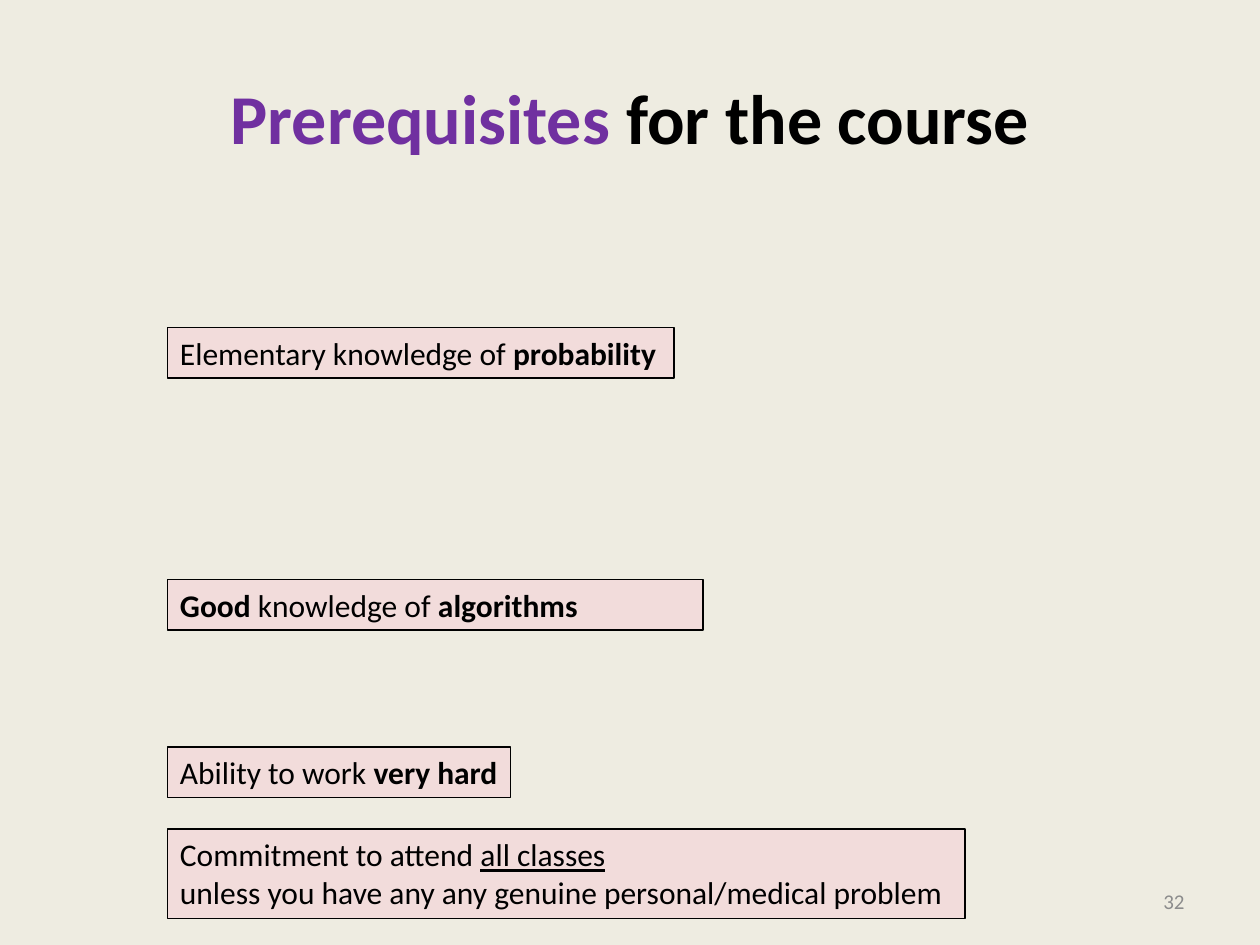
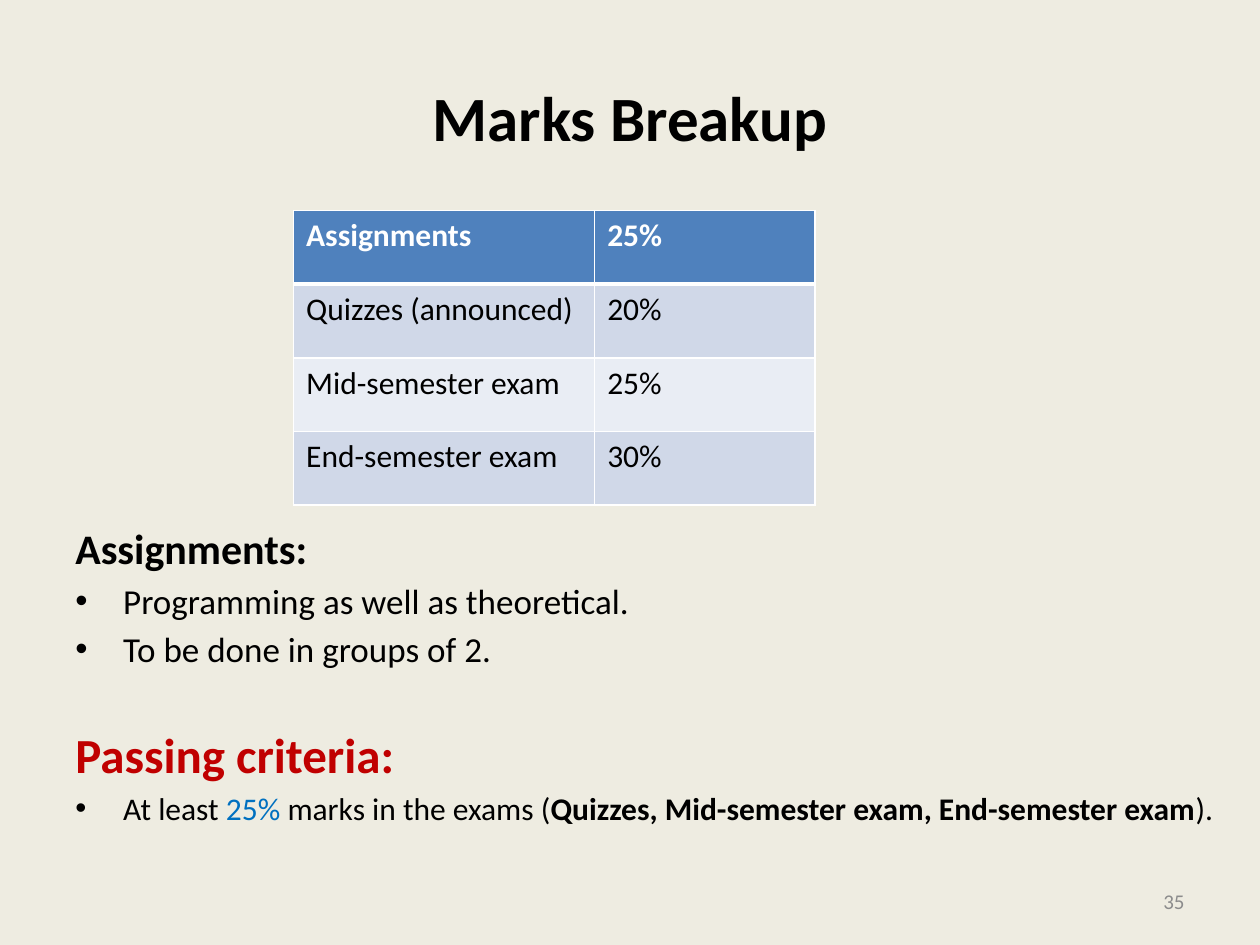
from dataclasses import dataclass

from lxml import etree
from pptx import Presentation
from pptx import util as u
from pptx.dml.color import RGBColor
from pptx.enum import text
from pptx.oxml.ns import qn

CELL = 0.1  # inches: the slide is a grid of 100 columns by 75 rows
FONT = "Calibri"
BACKGROUND, BLACK, WHITE, GREY = "EEECE1", "000000", "FFFFFF", "8C8C8C"
PURPLE, RED, BLUE, PINK = "7030A0", "C00000", "0070C0", "F2DCDB"
HEADER, BAND_DARK, BAND_LIGHT = "4F81BD", "D0D8E8", "E9EDF4"


@dataclass(frozen=True)
class Span:
    words: str
    bold: bool = False
    underline: bool = False
    color: str = BLACK


@dataclass(frozen=True)
class Line:
    spans: tuple[Span, ...]
    size: float = 18
    bullet: bool = False
    align: text.PP_ALIGN = text.PP_ALIGN.LEFT


@dataclass(frozen=True)
class Box:
    col: float
    row: float
    cols: float
    rows: float


@dataclass(frozen=True)
class Requirement:
    box: Box
    lines: tuple[Line, ...]


TITLE_BOX = Box(5, 3, 90, 12.5)
NUMBER_BOX = Box(71.7, 69.5, 23.3, 4)

REQUIREMENTS = (
    Requirement(Box(13.3, 26, 40.2, 4), (
        Line((Span("Elementary knowledge of "), Span("probability", bold=True))),)),
    Requirement(Box(13.3, 46, 42.5, 4), (
        Line((Span("Good", bold=True), Span(" knowledge of "), Span("algorithms", bold=True))),)),
    Requirement(Box(13.3, 59.3, 27.2, 4), (
        Line((Span("Ability to work "), Span("very hard", bold=True))),)),
    Requirement(Box(13.3, 65.8, 63.3, 7.1), (
        Line((Span("Commitment to attend "), Span("all classes", underline=True))),
        Line((Span("unless you have any any genuine personal/medical problem"),)))),
)

MARKS = (
    ("Assignments", "25%"),
    ("Quizzes (announced)", "20%"),
    ("Mid-semester exam", "25%"),
    ("End-semester exam", "30%"),
)

ASSIGNMENTS = (
    Line((Span("Assignments:", bold=True),), 24),
    Line((Span("Programming as well as theoretical."),), 20, bullet=True),
    Line((Span("To be done in groups of 2."),), 20, bullet=True),
)

PASSING = (
    Line((Span("Passing criteria:", bold=True, color=RED),), 28),
    Line((Span("At least "), Span("25%", color=BLUE), Span(" marks in the exams ("),
          Span("Quizzes, Mid-semester exam, End-semester exam", bold=True), Span(").")),
         bullet=True),
)


def rgb(color: str) -> RGBColor:
    return RGBColor.from_string(color)


def grid(cells: float) -> u.Length:
    return u.Inches(cells * CELL)


def fill(target, color: str) -> None:
    target.fill.solid()
    target.fill.fore_color.rgb = rgb(color)


def write_line(paragraph, line: Line) -> None:
    paragraph.alignment = line.align
    if line.bullet:
        properties = paragraph._p.get_or_add_pPr()
        properties.set("marL", str(u.Inches(0.38)))
        properties.set("indent", str(-u.Inches(0.38)))
        etree.SubElement(properties, qn("a:buFont")).set("typeface", "Arial")
        etree.SubElement(properties, qn("a:buChar")).set("char", "•")
        paragraph.space_before = u.Pt(round(line.size * 0.18, 1))
    for span in line.spans:
        run = paragraph.add_run()
        run.text = span.words
        font = run.font
        font.name, font.size = FONT, u.Pt(line.size)
        font.bold, font.underline = span.bold, span.underline
        font.color.rgb = rgb(span.color)


def add_text(slide, box: Box, lines: tuple[Line, ...], middle: bool = False):
    shape = slide.shapes.add_textbox(grid(box.col), grid(box.row),
                                     grid(box.cols), grid(box.rows))
    frame = shape.text_frame
    frame.word_wrap = True
    if middle:
        frame.vertical_anchor = text.MSO_ANCHOR.MIDDLE
    for index, line in enumerate(lines):
        write_line(frame.add_paragraph() if index else frame.paragraphs[0], line)
    return shape


def add_slide(deck, title: tuple[Span, ...], title_size: float, number: int):
    """Add a slide with the shared background, title and page number."""
    slide = deck.slides.add_slide(deck.slide_layouts[6])
    fill(slide.background, BACKGROUND)
    add_text(slide, TITLE_BOX, (Line(title, title_size, align=text.PP_ALIGN.CENTER),), True)
    page = Line((Span(str(number), color=GREY),), 12, align=text.PP_ALIGN.RIGHT)
    add_text(slide, NUMBER_BOX, (page,), True)
    return slide


def add_requirement(slide, requirement: Requirement) -> None:
    shape = add_text(slide, requirement.box, requirement.lines)
    shape.text_frame.margin_right = 0
    fill(shape, PINK)
    shape.line.color.rgb = rgb(BLACK)
    shape.line.width = u.Pt(0.75)


def set_borders(cell, bottom: float, top: float) -> None:
    """Draw white cell borders; they must come before the cell's fill."""
    properties = cell._tc.get_or_add_tcPr()
    for side, width in (("L", 1), ("R", 1), ("T", top), ("B", bottom)):
        border = etree.SubElement(properties, qn(f"a:ln{side}"), w=str(u.Pt(width)))
        solid = etree.SubElement(border, qn("a:solidFill"))
        etree.SubElement(solid, qn("a:srgbClr"), val=WHITE)


def add_marks_table(slide, box: Box, widths: tuple[float, ...]) -> None:
    table = slide.shapes.add_table(len(MARKS), len(widths), grid(box.col), grid(box.row),
                                   grid(box.cols), grid(box.rows)).table
    for column, width in zip(table.columns, widths):
        column.width = grid(width)
    for row, values in enumerate(MARKS):
        is_header = row == 0
        band = HEADER if is_header else BAND_DARK if row % 2 else BAND_LIGHT
        for col, value in enumerate(values):
            cell = table.cell(row, col)
            set_borders(cell, bottom=3 if is_header else 1, top=3 if row == 1 else 1)
            fill(cell, band)
            span = Span(value, bold=is_header, color=WHITE if is_header else BLACK)
            write_line(cell.text_frame.paragraphs[0], Line((span,)))


def main() -> None:
    deck = Presentation()
    deck.slide_width, deck.slide_height = grid(100), grid(75)

    prerequisites = add_slide(deck, (Span("Prerequisites ", bold=True, color=PURPLE),
                                     Span("for the course", bold=True)), 40, 32)
    for requirement in REQUIREMENTS:
        add_requirement(prerequisites, requirement)

    marks = add_slide(deck, (Span("Marks Breakup", bold=True),), 36, 35)
    add_text(marks, Box(5, 41, 95, 15), ASSIGNMENTS)
    add_text(marks, Box(5, 57, 95, 10), PASSING)
    add_marks_table(marks, Box(23.3, 16.7, 41.4, 23.4), (23.9, 17.5))

    deck.save("out.pptx")


if __name__ == "__main__":
    main()
